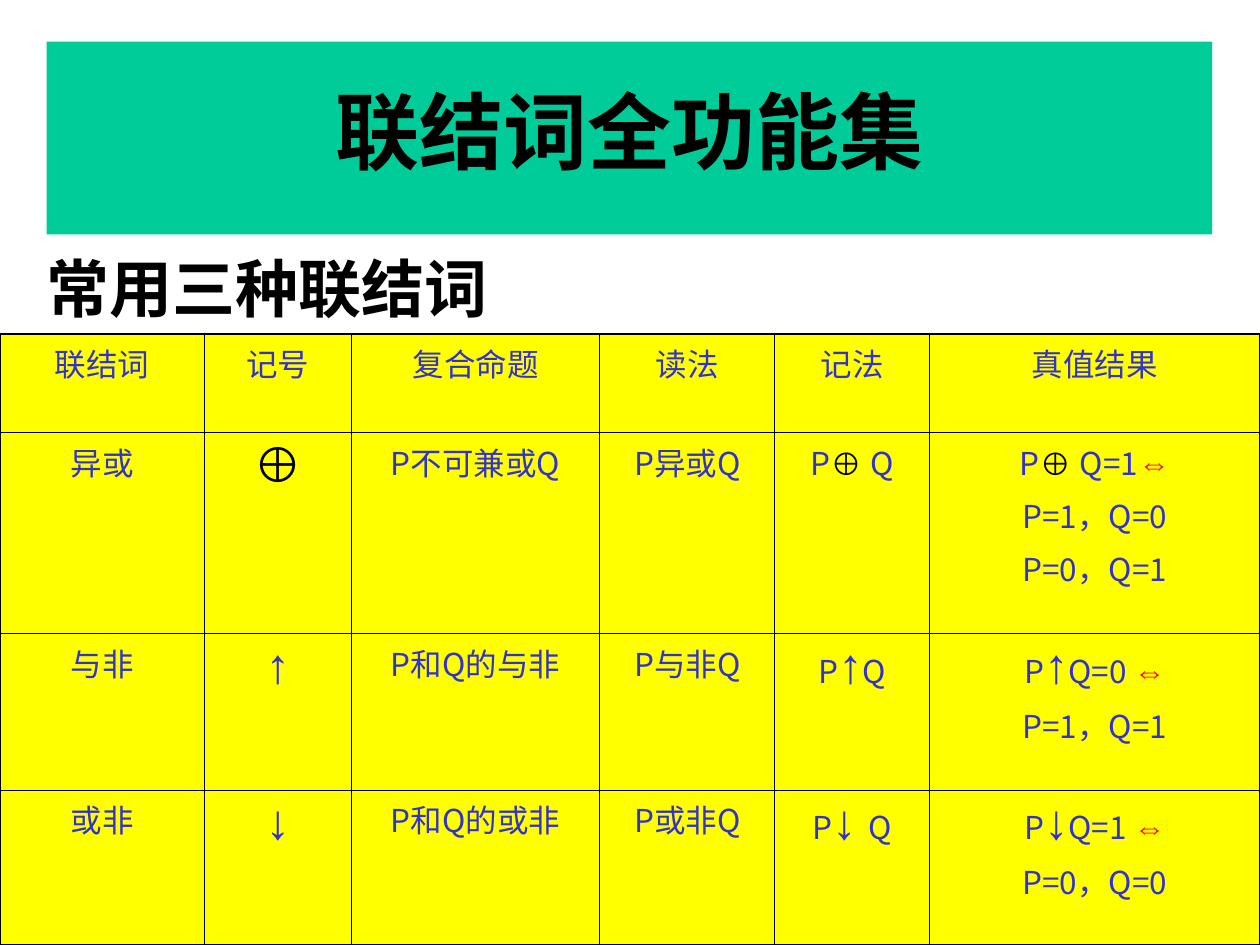
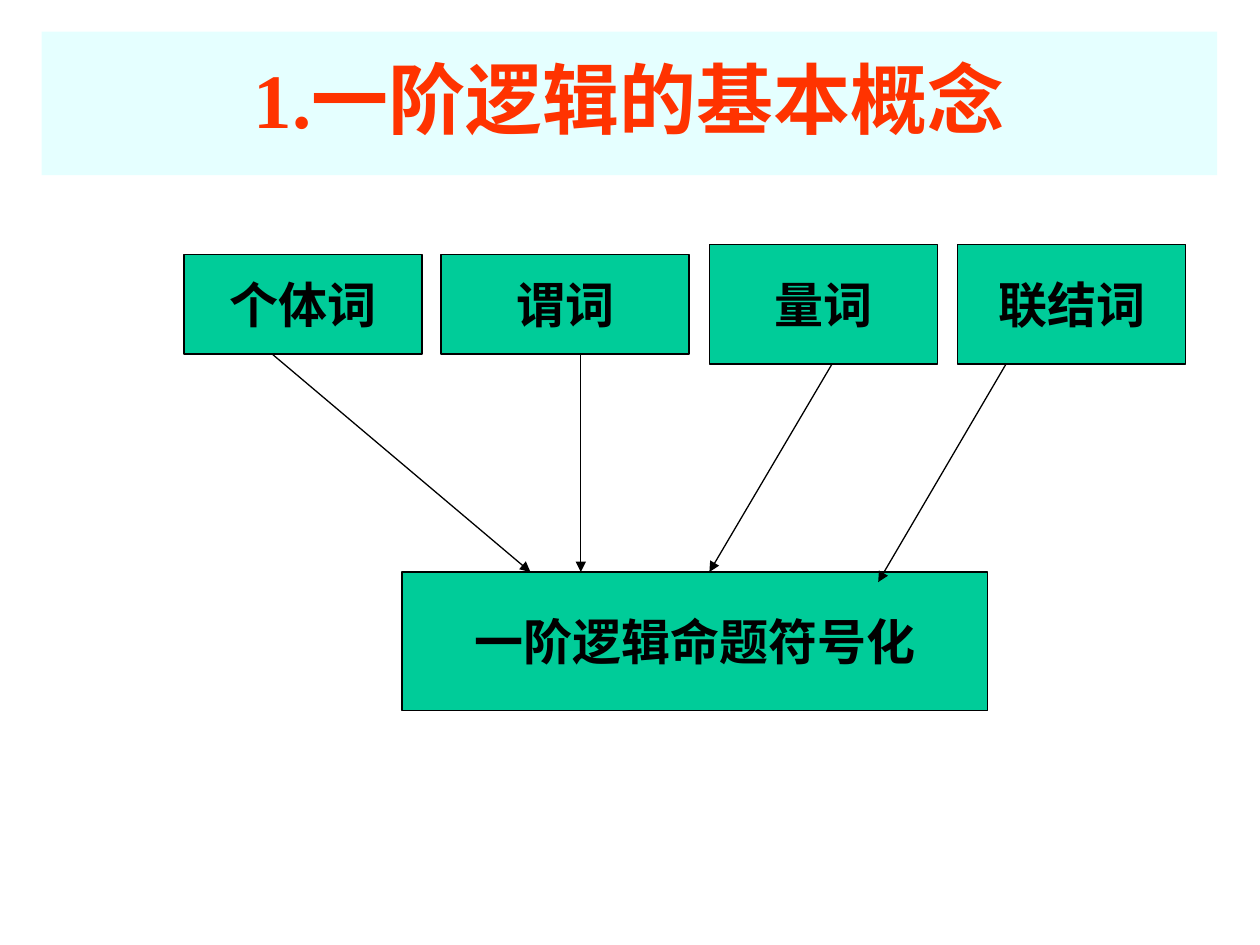
import lxml.etree
import pptx
import pptx.dml.color
import pptx.enum.shapes
import pptx.enum.text
import pptx.oxml
import pptx.oxml.ns
import pptx.util

Inches = pptx.util.Inches
Pt = pptx.util.Pt
qn = pptx.oxml.ns.qn
CENTER = pptx.enum.text.PP_ALIGN.CENTER
LEFT = pptx.enum.text.PP_ALIGN.LEFT
MIDDLE = pptx.enum.text.MSO_ANCHOR.MIDDLE
TOP = pptx.enum.text.MSO_ANCHOR.TOP

COLORS = {
    "black": "000000",
    "white": "FFFFFF",
    "green": "00CC99",
    "ice": "CCFFFF",
    "yellow": "FFFF00",
    "blue": "3333CC",
    "orange": "FF3300",
    "red": "FF0000",
}
SERIF, SANS, SYMBOL = "Times New Roman", "Noto Sans CJK SC", "Arial"
EAST_FONTS = {SERIF: SANS, SANS: SANS, SYMBOL: SYMBOL}

SIGN_FORMATS = {
    "⊕": {"font": SYMBOL, "color": "black", "bold": True},
    "⇔": {"font": SYMBOL, "color": "red", "bold": True},
    "↑": {"font": SERIF, "size": 28},
    "↓": {"font": SERIF, "size": 28},
}

COLUMN_WIDTHS = [1.62, 1.17, 1.97, 1.39, 1.23, 2.62]
ROW_HEIGHTS = [0.78, 1.6, 1.24, 1.23]
SIGN_COLUMN = 1
CONNECTIVES = [
    ["联结词", "记号", "复合命题", "读法", "记法", "真值结果"],
    ["异或", "⊕", "P不可兼或Q", "P异或Q", "P⊕ Q", "P⊕ Q=1⇔\nP=1，Q=0\nP=0，Q=1"],
    ["与非", "↑", "P和Q的与非", "P与非Q", "P↑Q", "P↑Q=0 ⇔\nP=1，Q=1"],
    ["或非", "↓", "P和Q的或非", "P或非Q", "P↓ Q", "P↓Q=1 ⇔\nP=0，Q=0"],
]

CONCEPTS = [
    ("个体词", (1.46, 2.02, 1.89, 0.79)),
    ("谓词", (3.5, 2.02, 1.97, 0.79)),
    ("量词", (5.63, 1.94, 1.81, 0.95)),
    ("联结词", (7.6, 1.94, 1.81, 0.95)),
]
ARROWS = [
    ((2.16, 2.81), (4.21, 4.54)),
    ((4.61, 2.81), (4.61, 4.54)),
    ((6.65, 2.81), (5.63, 4.54)),
    ((7.99, 2.88), (6.97, 4.62)),
]


def rgb(name):
    return pptx.dml.color.RGBColor.from_string(COLORS[name])


def write(para, text, *, size=18, font=SERIF, color="black", bold=False):
    span = para.add_run()
    span.text = text
    span.font.size = Pt(size)
    span.font.name = font
    span.font.bold = bold
    span.font.color.rgb = rgb(color)
    latin = span.font._element.find(qn("a:latin"))
    east = lxml.etree.Element(qn("a:ea"), typeface=EAST_FONTS[font])
    latin.addnext(east)


def split_signs(text):
    parts = []
    for letter in text:
        sign = letter if letter in SIGN_FORMATS else None
        if parts and (letter == " " or parts[-1][0] == sign):
            parts[-1][1] += letter
        else:
            parts.append([sign, letter])
    return parts


class Builder:
    def __init__(self, deck):
        self.deck = deck
        self.page = None

    def add_page(self, layout):
        self.page = self.deck.slides.add_slide(self.deck.slide_layouts[layout])

    def place(self, box, bounds):
        box.left, box.top, box.width, box.height = map(Inches, bounds)

    def fill(self, box, color, alpha=None):
        box.fill.solid()
        box.fill.fore_color.rgb = rgb(color)
        if alpha is not None:
            tone = box._element.spPr.find(qn("a:solidFill"))[0]
            lxml.etree.SubElement(tone, qn("a:alpha"), val=str(alpha * 1000))

    def placeholder(self, index, text, bounds, fill, *, alpha=None, align=CENTER,
                    anchor=MIDDLE, spacing=0.85, **style):
        box = self.page.placeholders[index]
        self.place(box, bounds)
        self.fill(box, fill, alpha)
        frame = box.text_frame
        frame.auto_size = pptx.enum.text.MSO_AUTO_SIZE.NONE
        frame.vertical_anchor = anchor
        para = frame.paragraphs[0]
        para.alignment = align
        para.line_spacing = spacing
        para.space_before = Pt(0)
        write(para, text, bold=True, **style)

    def concept_box(self, text, bounds):
        box = self.page.shapes.add_shape(
            pptx.enum.shapes.MSO_SHAPE.RECTANGLE, *map(Inches, bounds))
        box.shadow.inherit = False
        self.fill(box, "green")
        box.line.color.rgb = rgb("black")
        box.line.width = Pt(0.75)
        frame = box.text_frame
        frame.word_wrap = False
        frame.vertical_anchor = MIDDLE
        para = frame.paragraphs[0]
        para.alignment = CENTER
        write(para, text, size=28, bold=True)

    def arrow(self, start, end):
        line = self.page.shapes.add_connector(
            pptx.enum.shapes.MSO_CONNECTOR.STRAIGHT, *map(Inches, start + end))
        line.line.color.rgb = rgb("black")
        line.line.width = Pt(0.75)
        lxml.etree.SubElement(line.line._get_or_add_ln(), qn("a:tailEnd"), type="triangle")
        lxml.etree.SubElement(line._element.spPr, qn("a:effectLst"))

    def cell_border(self, cell, side, width):
        edge = lxml.etree.SubElement(
            cell._tc.get_or_add_tcPr(), qn("a:ln" + side), w=str(Pt(width)))
        paint = lxml.etree.SubElement(edge, qn("a:solidFill"))
        lxml.etree.SubElement(paint, qn("a:srgbClr"), val=COLORS["black"])

    def fill_cell(self, cell, text, font, size):
        for number, row_text in enumerate(text.split("\n")):
            frame = cell.text_frame
            para = frame.add_paragraph() if number else frame.paragraphs[0]
            para.alignment = CENTER
            para.space_before = Pt(4.5 if number else 0)
            for sign, part in split_signs(row_text):
                style = {"font": font, "size": size, "color": "blue"}
                write(para, part, **{**style, **SIGN_FORMATS.get(sign, {})})

    def table(self, rows, left, top):
        bounds = (left, top, sum(COLUMN_WIDTHS), sum(ROW_HEIGHTS))
        table = self.page.shapes.add_table(
            len(rows), len(COLUMN_WIDTHS), *map(Inches, bounds)).table
        table.first_row = table.horz_banding = False
        for column, width in zip(table.columns, COLUMN_WIDTHS):
            column.width = Inches(width)
        for row, height in zip(table.rows, ROW_HEIGHTS):
            row.height = Inches(height)
        last_row, last_column = len(rows) - 1, len(COLUMN_WIDTHS) - 1
        for i, texts in enumerate(rows):
            for j, text in enumerate(texts):
                cell = table.cell(i, j)
                outer = {"L": j == 0, "R": j == last_column,
                         "T": i == 0, "B": i == last_row}
                for side, is_outer in outer.items():
                    self.cell_border(cell, side, 1.08 if is_outer else 0.45)
                self.fill(cell, "yellow")
                font = SERIF if i == 0 or j == 0 else SANS
                size = 28 if i and j == SIGN_COLUMN else 18
                self.fill_cell(cell, text, font, size)


def main():
    deck = pptx.Presentation()
    deck.slide_width, deck.slide_height = Inches(10), Inches(7.5)
    builder = Builder(deck)

    builder.add_page(0)
    builder.placeholder(0, "联结词全功能集", (0.37, 0.33, 9.25, 1.53), "green", size=48)
    builder.placeholder(1, "常用三种联结词", (0.27, 2.02, 9.25, 5.17), "white",
                        align=LEFT, anchor=TOP, size=36, font=SANS)
    builder.table(CONNECTIVES, 0, 2.65)

    builder.add_page(5)
    builder.placeholder(0, "1.一阶逻辑的基本概念", (0.33, 0.25, 9.33, 1.14), "ice",
                        alpha=50, spacing=0.9, size=44, color="orange")
    builder.concept_box("一阶逻辑命题符号化", (3.19, 4.54, 4.65, 1.1))
    for start, end in ARROWS:
        builder.arrow(start, end)
    for text, bounds in CONCEPTS:
        builder.concept_box(text, bounds)

    deck.save("out.pptx")


if __name__ == "__main__":
    main()
